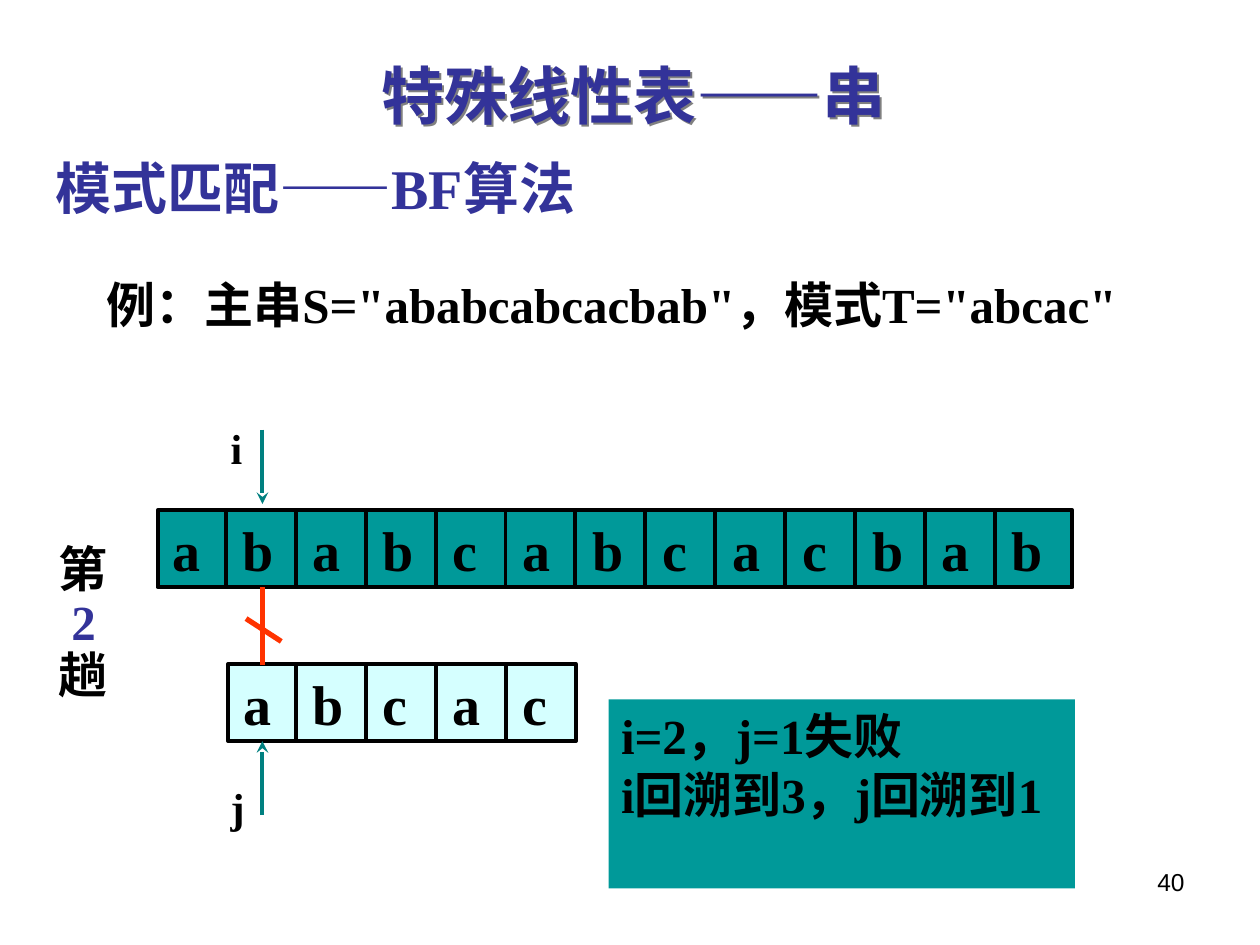
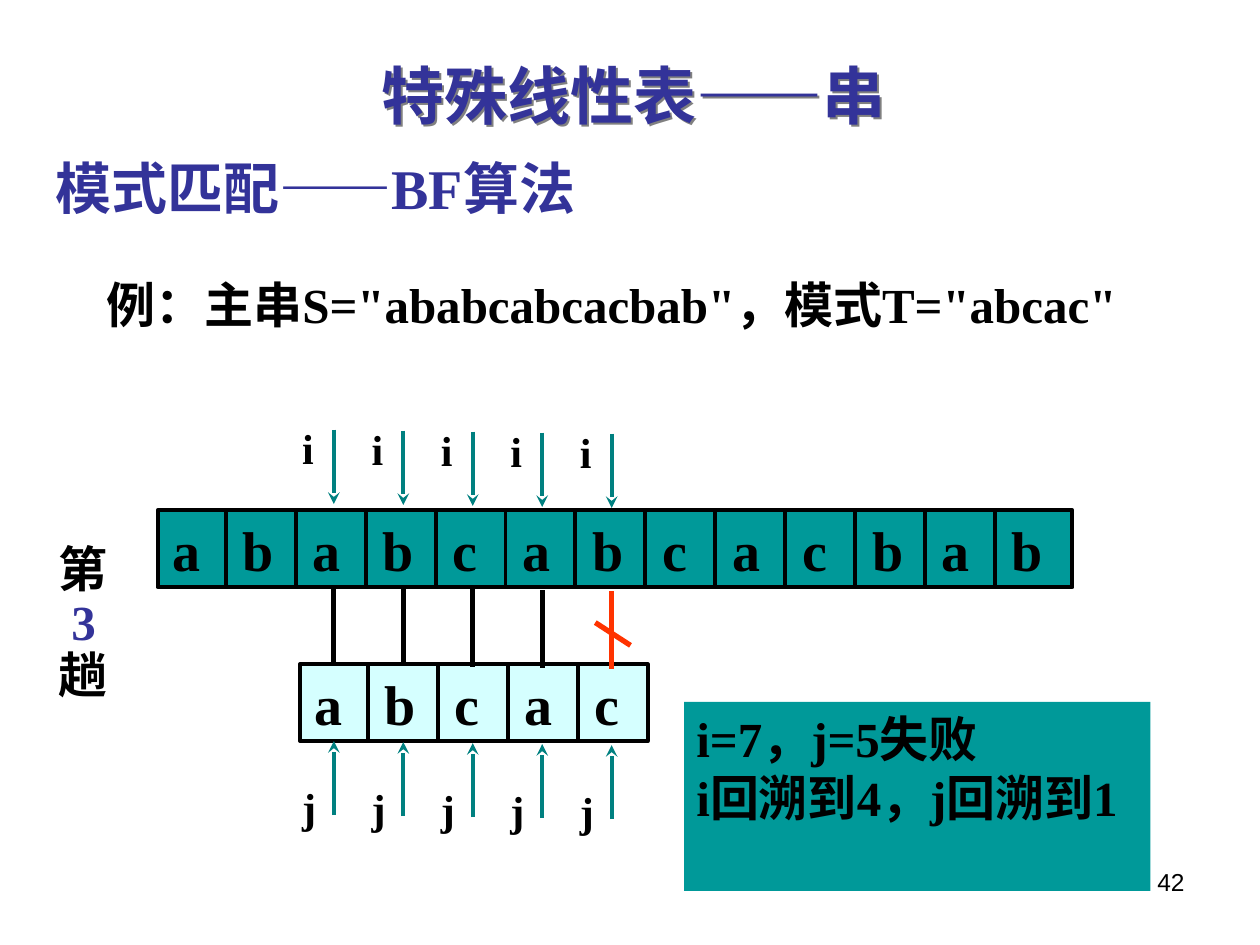
from dataclasses import dataclass

from lxml.etree import SubElement
from pptx import Presentation
from pptx.dml.color import RGBColor
from pptx.enum.shapes import MSO_CONNECTOR, MSO_SHAPE
from pptx.enum.text import MSO_ANCHOR, PP_ALIGN
from pptx.oxml.ns import qn
from pptx.util import Cm, Pt


@dataclass(frozen=True)
class Theme:
    font: str = "Times New Roman"
    number_font: str = "Arial"
    ink: str = "000000"
    heading: str = "333399"
    shadow: str = "808080"
    main_fill: str = "009999"
    pattern_fill: str = "D5FFFF"
    arrow: str = "008080"
    mismatch: str = "FF3300"
    title_size: int = 36
    heading_size: int = 32
    letter_size: int = 32
    body_size: int = 28
    pointer_size: int = 24
    number_size: int = 14
    outline: float = 2.25
    link: float = 3


THEME = Theme()
MAIN_STRING = "ababcabcacbab"
PATTERN = "abcac"
FIRST_CELL = 1.37
CELL = 1.41
COMPARISON_STEP = 1.4
COMPARISON_DROP = 0.02


def set_font(paragraph, size, color=THEME.ink, name=THEME.font, bold=True):
    font = paragraph.font
    font.name = name
    font.size = Pt(size)
    font.bold = bold
    font.color.rgb = RGBColor.from_string(color)


def set_insets(frame, left, top, right, bottom):
    frame.margin_left, frame.margin_top = Cm(left), Cm(top)
    frame.margin_right, frame.margin_bottom = Cm(right), Cm(bottom)


def add_text(slide, box, text, size, color=THEME.ink, side_inset=0.25):
    shape = slide.shapes.add_textbox(*map(Cm, box))
    frame = shape.text_frame
    frame.word_wrap = True
    set_insets(frame, side_inset, 0.13, side_inset, 0.13)
    frame.text = text
    for paragraph in frame.paragraphs:
        set_font(paragraph, size, color)
    return shape


def add_rectangle(slide, box, fill):
    shape = slide.shapes.add_shape(MSO_SHAPE.RECTANGLE, *map(Cm, box))
    shape.shadow.inherit = False
    shape.fill.solid()
    shape.fill.fore_color.rgb = RGBColor.from_string(fill)
    shape.line.fill.background()
    return shape


def draw_outline(line, color, width):
    line.color.rgb = RGBColor.from_string(color)
    line.width = Pt(width)


def add_line(slide, start, end, color, width, arrow=False):
    connector = slide.shapes.add_connector(
        MSO_CONNECTOR.STRAIGHT, *map(Cm, (*start, *end))
    )
    draw_outline(connector.line, color, width)
    properties = connector._element.spPr
    if arrow:
        SubElement(properties.find(qn("a:ln")), qn("a:tailEnd"), type="stealth")
    SubElement(properties, qn("a:effectLst"))


def add_title(slide, box):
    title = add_text(slide, box, "特殊线性表——串", THEME.title_size, THEME.heading)
    effects = SubElement(title._element.spPr, qn("a:effectLst"))
    shadow = SubElement(effects, qn("a:outerShdw"), dist="20000", dir="2700000")
    SubElement(shadow, qn("a:srgbClr"), val=THEME.shadow)


def add_strip(slide, left, top, width, letters, fill):
    height = 1.55
    strip = add_rectangle(slide, (left, top, width, height), fill)
    draw_outline(strip.line, THEME.ink, THEME.outline)
    frame = strip.text_frame
    frame.vertical_anchor = MSO_ANCHOR.MIDDLE
    set_insets(frame, 0.3, 0, 0.05, 0)
    frame.text = "\t".join(letters)
    paragraph = frame.paragraphs[0]
    paragraph.alignment = PP_ALIGN.LEFT
    tabs = SubElement(paragraph._p.get_or_add_pPr(), qn("a:tabLst"))
    for index in range(1, len(letters)):
        SubElement(tabs, qn("a:tab"), pos=str(Cm(CELL * index)), algn="l")
        divider = left + FIRST_CELL + CELL * (index - 1)
        add_line(slide, (divider, top), (divider, top + height),
                 THEME.ink, THEME.outline)
    set_font(paragraph, THEME.letter_size)


def add_pointer(slide, center, label_top, tail, head, name):
    add_line(slide, (center, tail), (center, head), THEME.arrow, THEME.outline, arrow=True)
    add_text(slide, (center - 0.64, label_top, 0.64, 1.27), name,
             THEME.pointer_size, side_inset=0)


def add_comparison(slide, center, top, matches):
    color = THEME.ink if matches else THEME.mismatch
    add_line(slide, (center, top + 3.46), (center, top + 5.03), color, THEME.link)
    if not matches:
        add_line(slide, (center - 0.33, top + 4.09), (center + 0.38, top + 4.55),
                 color, THEME.link)
    add_pointer(slide, center, top, top + 0.28, top + 1.78, "i")
    add_pointer(slide, center, top + 7.24, top + 8.05, top + 6.56, "j")


def add_round_label(slide, box, number):
    label = add_text(slide, box, f"第\n{number}\n趟", THEME.body_size)
    paragraphs = label.text_frame.paragraphs
    for paragraph in paragraphs:
        paragraph.line_spacing = 0.9
    paragraphs[1]._p.get_or_add_pPr().set("marL", str(Cm(0.25)))
    paragraphs[1].font.color.rgb = RGBColor.from_string(THEME.heading)


def add_note(slide, left, top, lines):
    note = add_rectangle(slide, (left, top, 9.4, 3.81), THEME.main_fill)
    frame = note.text_frame
    frame.vertical_anchor = MSO_ANCHOR.TOP
    set_insets(frame, 0.25, 0.13, 0.25, 0.13)
    frame.text = "\n".join(lines)
    for paragraph in frame.paragraphs:
        paragraph.alignment = PP_ALIGN.LEFT
        set_font(paragraph, THEME.body_size)


def add_slide_number(slide, box, number):
    shape = add_text(slide, box, str(number), THEME.number_size)
    paragraph = shape.text_frame.paragraphs[0]
    paragraph.alignment = PP_ALIGN.RIGHT
    set_font(paragraph, THEME.number_size, name=THEME.number_font, bold=False)


def add_matching_slide(presentation, round_number, slide_number, pattern_left,
                       first_center, results, note_position, note_lines):
    slide = presentation.slides.add_slide(presentation.slide_layouts[6])
    add_title(slide, (7.44, 1.02, 12.12, 1.78))
    add_text(slide, (0.86, 2.97, 20.75, 1.63), "模式匹配——BF算法",
             THEME.heading_size, THEME.heading)
    add_text(slide, (1.9, 5.41, 22.66, 1.45),
             f'例：主串S="{MAIN_STRING}"，模式T="{PATTERN}"', THEME.body_size)
    add_strip(slide, 3.18, 10.29, 18.44, MAIN_STRING, THEME.main_fill)
    add_strip(slide, pattern_left, 13.39, 7.01, PATTERN, THEME.pattern_fill)
    add_round_label(slide, (0.94, 10.87, 1.8, 3.45), round_number)
    for index, matches in enumerate(results):
        add_comparison(slide, first_center + COMPARISON_STEP * index,
                       8.38 + COMPARISON_DROP * index, matches)
    add_note(slide, *note_position, note_lines)
    add_slide_number(slide, (18.21, 17.35, 5.92, 1.32), slide_number)


def main():
    presentation = Presentation()
    presentation.slide_width, presentation.slide_height = Cm(25.4), Cm(19.05)
    add_matching_slide(presentation, 2, 40, 4.6, 5.29, [False], (12.27, 14.1),
                       ["i=2，j=1失败", "i回溯到3，j回溯到1"])
    add_matching_slide(presentation, 3, 42, 6.05, 6.73, [True] * 4 + [False],
                       (13.79, 14.15), ["i=7，j=5失败", "i回溯到4，j回溯到1"])
    presentation.save("out.pptx")


if __name__ == "__main__":
    main()
